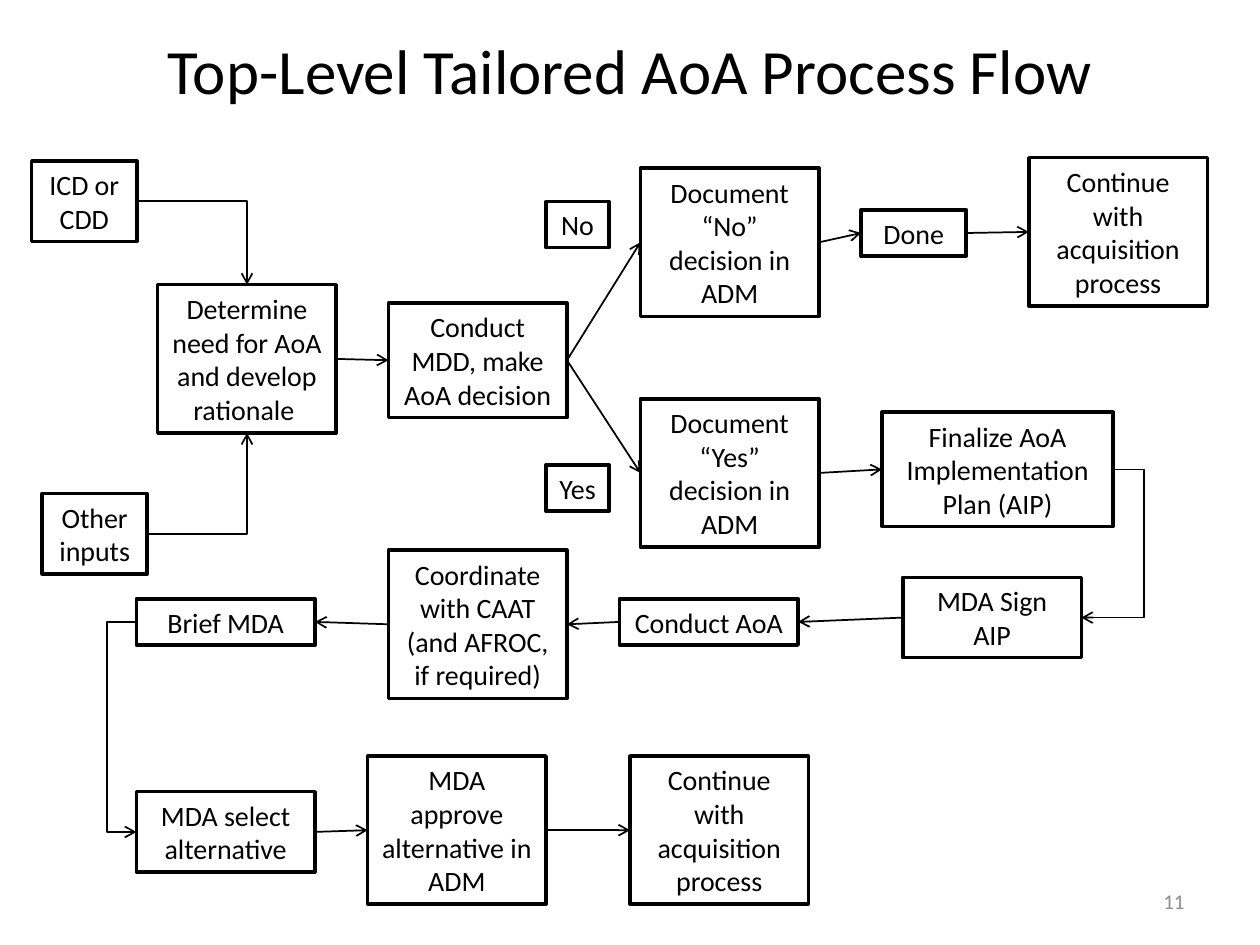
"""Build the top-level tailored AoA process flow slide."""
from lxml.etree import SubElement
from pptx import Presentation
from pptx.dml.color import RGBColor
from pptx.enum.shapes import MSO_CONNECTOR, MSO_SHAPE
from pptx.enum.text import MSO_ANCHOR, MSO_AUTO_SIZE, PP_ALIGN
from pptx.oxml.ns import qn
from pptx.util import Cm, Pt

TITLE = "Top-Level Tailored AoA Process Flow"
PAGE = "11"
INK, GREY = "000000", "8C8C8C"
STEP, SMALL, TAG, WIDE = 3.6, 2.12, 1.27, 4.66
LAST = "Continue with acquisition process"

# name: text, left, top, width, lines
BOXES = {
    "icd": ("ICD or CDD", 0.64, 3.25, SMALL, 2),
    "other": ("Other inputs", 0.85, 9.95, SMALL, 2),
    "need": ("Determine need for AoA and develop rationale ", 3.18, 5.74, STEP, 4),
    "mdd": ("Conduct MDD, make AoA decision", 7.83, 6.11, STEP, 3),
    "no": ("No", 11.01, 4.06, TAG, 1),
    "yes": ("Yes", 11.01, 9.37, TAG, 1),
    "no doc": ("Document “No” decision in ADM", 12.91, 3.39, STEP, 4),
    "yes doc": ("Document “Yes” decision in ADM", 12.91, 8.04, STEP, 4),
    "done": ("Done", 17.36, 4.23, SMALL, 1),
    "no end": (LAST, 20.74, 3.18, STEP, 4),
    "plan": ("Finalize AoA Implementation Plan (AIP)", 17.78, 8.31, WIDE, 3),
    "sign": ("MDA Sign AIP", 18.2, 11.64, STEP, 2),
    "study": ("Conduct AoA", 12.49, 12.07, STEP, 1),
    "caat": ("Coordinate with CAAT (and AFROC, if required)", 7.83, 11.09, STEP, 4),
    "brief": ("Brief MDA", 2.75, 12.07, STEP, 1),
    "select": ("MDA select alternative", 2.75, 15.96, STEP, 2),
    "approve": ("MDA approve alternative in ADM", 7.41, 15.24, STEP, 4),
    "yes end": (LAST, 12.7, 15.24, STEP, 4),
}
TOP, LEFT, BASE, RIGHT = range(4)
EAST = ["need mdd", "mdd no doc", "mdd yes doc", "no doc done", "done no end",
        "yes doc plan", "select approve", "approve yes end"]
EAST = [("need", "mdd"), ("mdd", "no doc"), ("mdd", "yes doc"),
        ("no doc", "done"), ("done", "no end"), ("yes doc", "plan"),
        ("select", "approve"), ("approve", "yes end")]
WEST = [("sign", "study"), ("study", "caat"), ("caat", "brief")]
TURNS = [("icd", RIGHT, "need", TOP), ("other", RIGHT, "need", BASE)]
# from, to, side, x of the middle leg, nudge of the start
LOOPS = [("plan", "sign", RIGHT, 23.07, 0), ("brief", "select", LEFT, 2.16, 0.04)]


def color(code):
    return RGBColor.from_string(code)


def write(shape, text, size=16, ink=INK, align=PP_ALIGN.CENTER,
          fit=MSO_AUTO_SIZE.NONE):
    frame = shape.text_frame
    frame.word_wrap = True
    frame.auto_size = fit
    frame.vertical_anchor = MSO_ANCHOR.MIDDLE
    par = frame.paragraphs[0]
    par.alignment = align
    run = par.add_run()
    run.text = text
    run.font.name = "Calibri"
    run.font.size = Pt(size)
    run.font.color.rgb = color(ink)


def label(slide, area, text, **form):
    write(slide.shapes.add_textbox(*map(Cm, area)), text, **form)


def box(slide, text, left, top, width, lines):
    area = left, top, width, 0.25 + 0.685 * lines
    shape = slide.shapes.add_shape(MSO_SHAPE.RECTANGLE, *map(Cm, area))
    shape.shadow.inherit = False
    shape.fill.background()
    shape.line.color.rgb = color(INK)
    shape.line.width = Pt(2)
    write(shape, text, fit=MSO_AUTO_SIZE.SHAPE_TO_FIT_TEXT)
    return shape


def arrow(slide, start, out, end, into, kind=MSO_CONNECTOR.STRAIGHT):
    link = slide.shapes.add_connector(kind, 0, 0, 0, 0)
    link.begin_connect(start, out)
    link.end_connect(end, into)
    link.line.color.rgb = color(INK)
    link.line.width = Pt(1)
    SubElement(link.line._get_or_add_ln(), qn("a:tailEnd"), type="arrow")
    SubElement(link._element.spPr, qn("a:effectLst"))
    return link


def main():
    deck = Presentation()
    deck.slide_width, deck.slide_height = Cm(25.4), Cm(19.05)
    slide = deck.slides.add_slide(deck.slide_layouts[6])
    label(slide, (1.27, -0.2, 22.86, 3.18), TITLE, size=36)
    nodes = {name: box(slide, *spec) for name, spec in BOXES.items()}

    straight = [(a, RIGHT, b, LEFT) for a, b in EAST]
    straight += [(a, LEFT, b, RIGHT) for a, b in WEST]
    for a, out, b, into in straight:
        arrow(slide, nodes[a], out, nodes[b], into)
    for a, out, b, into in TURNS:
        link = arrow(slide, nodes[a], out, nodes[b], into, MSO_CONNECTOR.ELBOW)
        link._element.spPr.find(qn("a:prstGeom")).set("prst", "bentConnector2")
    for a, b, side, mid, nudge in LOOPS:
        link = arrow(slide, nodes[a], side, nodes[b], side, MSO_CONNECTOR.ELBOW)
        link.begin_x += Cm(nudge)
        bend = (Cm(mid) - link.begin_x) / (link.end_x - link.begin_x)
        guides = link._element.spPr.find(qn("a:prstGeom")).find(qn("a:avLst"))
        SubElement(guides, qn("a:gd"), name="adj1",
                   fmla=f"val {round(bend * 100000)}")

    label(slide, (18.2, 17.66, 5.93, 1.01), PAGE, size=12, ink=GREY,
          align=PP_ALIGN.RIGHT)
    deck.save("out.pptx")


if __name__ == "__main__":
    main()
